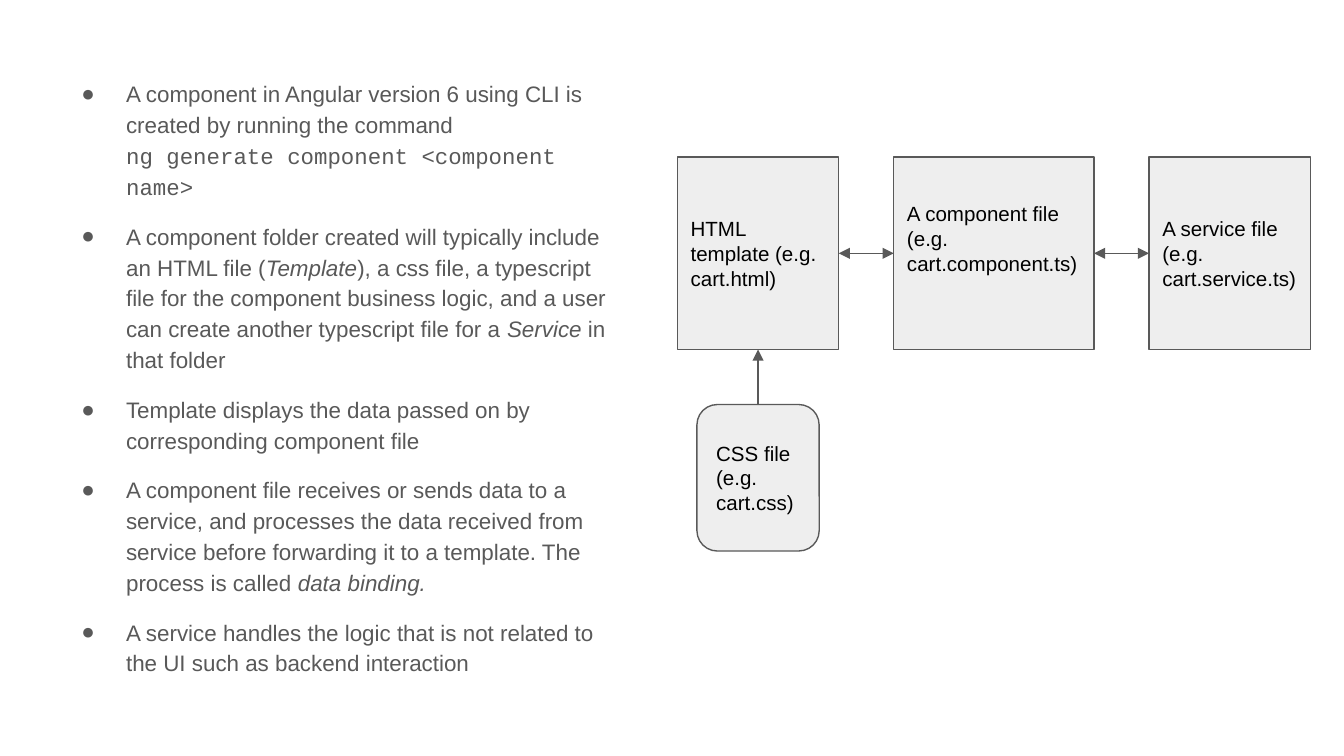
from lxml.etree import SubElement
from pptx import Presentation
from pptx.dml.color import RGBColor
from pptx.enum.shapes import MSO_CONNECTOR, MSO_SHAPE
from pptx.enum.text import MSO_ANCHOR, PP_ALIGN
from pptx.oxml.ns import qn
from pptx.util import Pt

GREY, PALE, BLACK = "595959", "EEEEEE", "000000"
TOP, BOTTOM, LEFT, RIGHT = 0, 2, 1, 3  # connection sites of a rectangle
BREAK = "break"

# Each bullet is a list of (text, style) runs.
BULLETS = [
    [("A component in Angular version 6 using CLI is created by running the command", ""),
     ("", BREAK),
     ("ng generate component <component name>", "code")],
    [("A component folder created will typically include an HTML file (", ""),
     ("Template", "italic"),
     ("), a css file, a typescript file for the component business logic, "
      "and a user can create another typescript file for a ", ""),
     ("Service", "italic"),
     (" in that folder", "")],
    [("Template displays the data passed on by corresponding component file", "")],
    [("A component file receives or sends data to a service, and processes the data "
      "received from service before forwarding it to a template. The process is called ", ""),
     ("data binding.", "italic")],
    [("A service handles the logic that is not related to the UI "
      "such as backend interaction", "")],
]

# Text, width, and space kept free below the text
FILES = [
    ("HTML template (e.g. cart.html)", 86.4, 0),
    ("A component file (e.g. cart.component.ts)", 107.3, 16),
    ("A service file (e.g. cart.service.ts)", 86.4, 0),
]
CSS_TEXT, CSS_WIDTH, CSS_HEIGHT = "CSS file (e.g. cart.css)", 65.5, 78.5

ROW_LEFT, ROW_TOP, ROW_HEIGHT, GAP = 362.9, 84.2, 103, 29.5
INSET = 7.2


def color(hex_string):
    return RGBColor.from_string(hex_string)


def set_insets(frame, extra_bottom=0):
    frame.word_wrap = True
    frame.margin_left = frame.margin_right = frame.margin_top = Pt(INSET)
    frame.margin_bottom = Pt(INSET + extra_bottom)


def set_font(paragraph, size, hex_string):
    font = paragraph.font
    font.name, font.size = "Arial", Pt(size)
    font.color.rgb = color(hex_string)


def add_bullet_mark(paragraph):
    properties = paragraph._p.get_or_add_pPr()
    properties.set("marL", str(Pt(36)))
    properties.set("indent", str(-Pt(24)))
    bullet_color = SubElement(properties, qn("a:buClr"))
    SubElement(bullet_color, qn("a:srgbClr"), val=GREY)
    SubElement(properties, qn("a:buFont"), typeface="Arial")
    SubElement(properties, qn("a:buChar"), char="●")


def add_bullets(slide):
    frame = slide.shapes.add_textbox(Pt(24.5), Pt(33.8), Pt(314.6), Pt(343.4)).text_frame
    set_insets(frame)
    for index, runs in enumerate(BULLETS):
        paragraph = frame.add_paragraph() if index else frame.paragraphs[0]
        paragraph.line_spacing = 1.15
        paragraph.space_before = Pt(10 if index else 0)
        add_bullet_mark(paragraph)
        set_font(paragraph, 12, GREY)
        for text, style in runs:
            if style == BREAK:
                paragraph.add_line_break()
                continue
            run = paragraph.add_run()
            run.text = text
            if style == "italic":
                run.font.italic = True
            elif style == "code":
                run.font.name = "Courier New"


def add_box(slide, kind, text, left, top, width, height, extra_bottom=0):
    shape = slide.shapes.add_shape(kind, Pt(left), Pt(top), Pt(width), Pt(height))
    shape.shadow.inherit = False
    shape.fill.solid()
    shape.fill.fore_color.rgb = color(PALE)
    shape.line.color.rgb = color(GREY)
    shape.line.width = Pt(0.75)
    frame = shape.text_frame
    set_insets(frame, extra_bottom)
    frame.vertical_anchor = MSO_ANCHOR.MIDDLE
    paragraph = frame.paragraphs[0]
    paragraph.text = text
    paragraph.alignment = PP_ALIGN.LEFT
    set_font(paragraph, 11, BLACK)
    return shape


def add_arrow(slide, start, start_site, end, end_site, ends):
    """Join two boxes, with an arrowhead at each of the named line ends."""
    connector = slide.shapes.add_connector(MSO_CONNECTOR.STRAIGHT, 0, 0, 0, 0)
    connector.begin_connect(start, start_site)
    connector.end_connect(end, end_site)
    connector.line.color.rgb = color(GREY)
    connector.line.width = Pt(0.75)
    properties = connector._element.spPr
    for end_name in ends:
        SubElement(properties.find(qn("a:ln")), qn(f"a:{end_name}"), type="triangle")
    SubElement(properties, qn("a:effectLst"))


def add_diagram(slide):
    boxes = []
    left = ROW_LEFT
    for text, width, extra_bottom in FILES:
        boxes.append(add_box(slide, MSO_SHAPE.RECTANGLE, text, left, ROW_TOP,
                             width, ROW_HEIGHT, extra_bottom))
        left += width + GAP

    template = boxes[0]
    css_left = ROW_LEFT + (FILES[0][1] - CSS_WIDTH) / 2
    css = add_box(slide, MSO_SHAPE.ROUNDED_RECTANGLE, CSS_TEXT, css_left,
                  ROW_TOP + ROW_HEIGHT + GAP, CSS_WIDTH, CSS_HEIGHT)

    add_arrow(slide, css, TOP, template, BOTTOM, ["tailEnd"])
    for first, second in zip(boxes, boxes[1:]):
        add_arrow(slide, first, RIGHT, second, LEFT, ["headEnd", "tailEnd"])


def main():
    presentation = Presentation()
    presentation.slide_width, presentation.slide_height = Pt(720), Pt(405)
    slide = presentation.slides.add_slide(presentation.slide_layouts[6])
    add_bullets(slide)
    add_diagram(slide)
    presentation.save("out.pptx")


if __name__ == "__main__":
    main()
